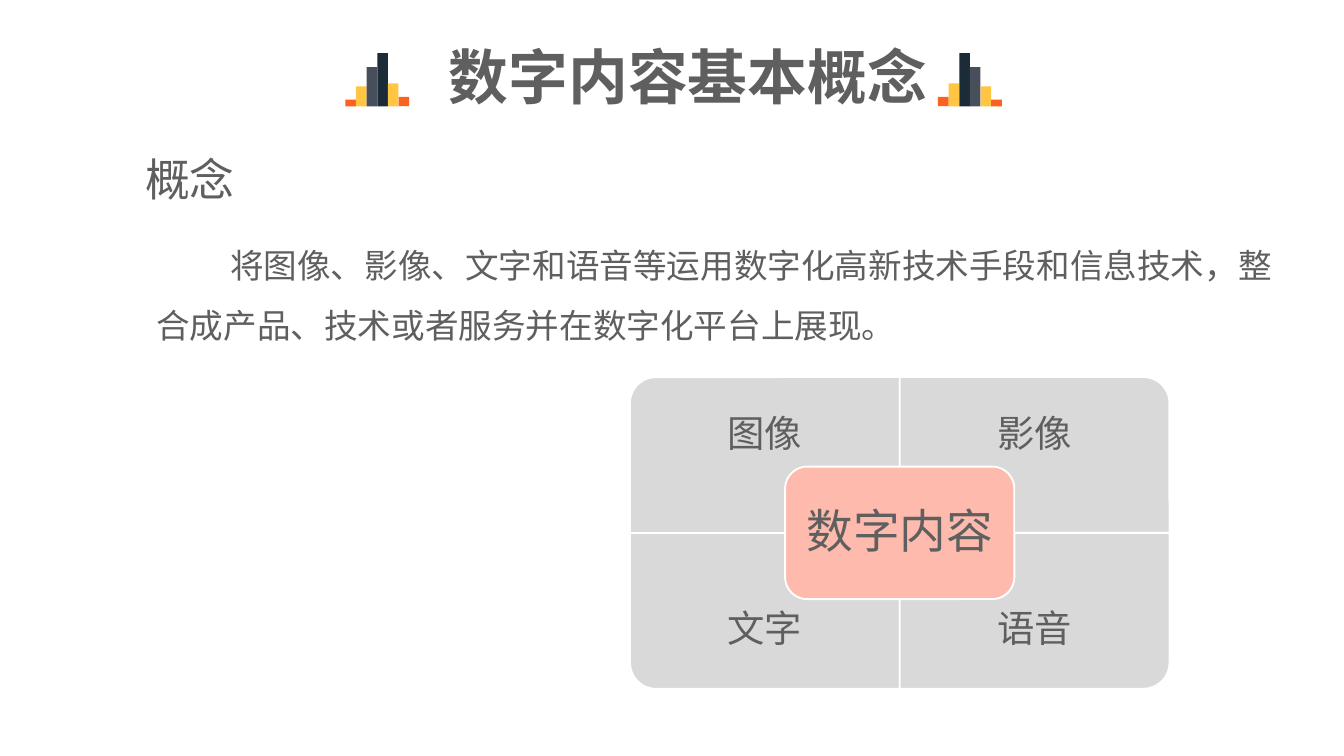
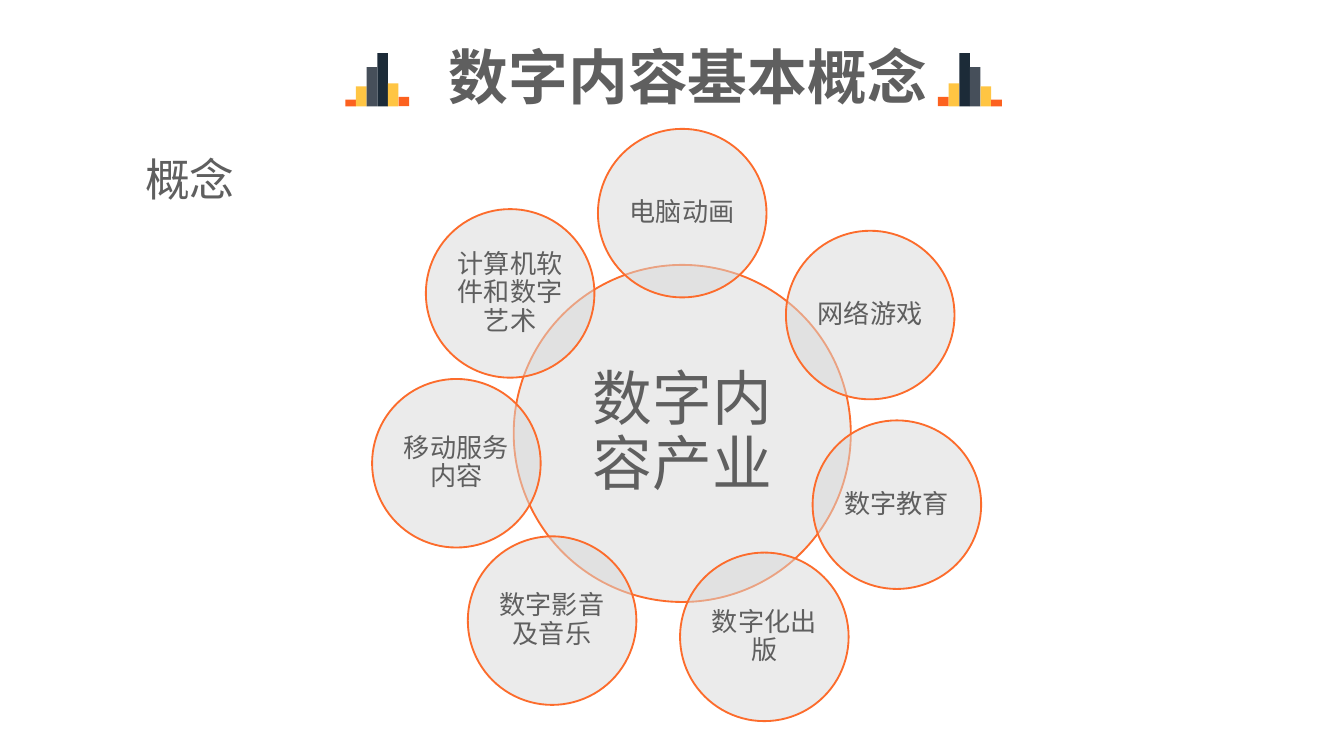
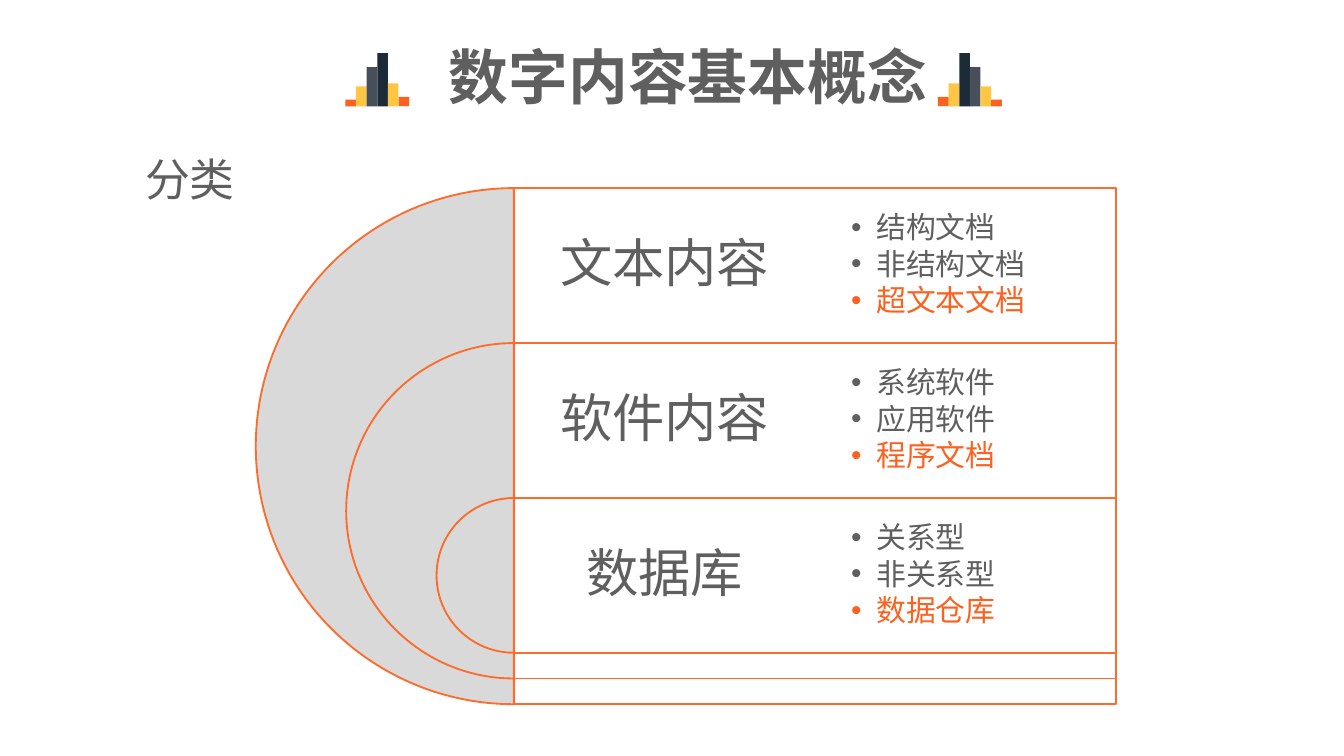
from lxml import etree
from pptx import Presentation
from pptx.dml.color import RGBColor
from pptx.enum.shapes import MSO_SHAPE
from pptx.enum.text import MSO_ANCHOR, MSO_AUTO_SIZE, PP_ALIGN
from pptx.oxml.ns import qn
from pptx.util import Pt

# Content
TITLE = "数字内容基本概念"
INTRO = ("将图像、影像、文字和语音等运用数字化高新技术手段和信息技术，"
         "整合成产品、技术或者服务并在数字化平台上展现。")
CORE = "数字内容"
PARTS = [("图像", 270), ("影像", 0), ("文字", 180), ("语音", 90)]
TRADE = "数字内容产业"
FIELDS = [  # text, offset of the circle from the hub
    ("电脑动画", 0, -118),
    ("网络游戏", 100.7, -63.4),
    ("数字教育", 115, 38.2),
    ("数字化出版", 44, 109),
    ("数字影音及音乐", -69.7, 100.3),
    ("移动服务内容", -121, 16),
    ("计算机软件和数字艺术", -92.2, -75),
]
KINDS = [
    ("文本内容", ["结构文档", "非结构文档", "超文本文档"]),
    ("软件内容", ["系统软件", "应用软件", "程序文档"]),
    ("数据库", ["关系型", "非关系型", "数据仓库"]),
]

# Shared look
GREY = RGBColor(0x5F, 0x5F, 0x5F)
PALE = RGBColor(0xD9, 0xD9, 0xD9)
PINK = RGBColor(0xFD, 0xBA, 0xAD)
WHITE = RGBColor(0xFF, 0xFF, 0xFF)
EDGE = RGBColor(0xFC, 0x6C, 0x2C)
ORANGE = RGBColor(0xFC, 0x61, 0x1F)
GOLD = RGBColor(0xFF, 0xC5, 0x43)
SLATE = RGBColor(0x46, 0x4F, 0x5A)
NAVY = RGBColor(0x1C, 0x2B, 0x38)
BARS = [(3.6, ORANGE), (10.7, GOLD), (21, SLATE),
        (28.5, NAVY), (12.3, GOLD), (5, ORANGE)]
CJK, LATIN = "Noto Sans CJK SC", "Arial"
LEFT, CENTER = PP_ALIGN.LEFT, PP_ALIGN.CENTER
TOP, MIDDLE = MSO_ANCHOR.TOP, MSO_ANCHOR.MIDDLE
FIXED = MSO_AUTO_SIZE.NONE
RECT, OVAL, PIE = MSO_SHAPE.RECTANGLE, MSO_SHAPE.OVAL, MSO_SHAPE.PIE
ROUND, CORNER = MSO_SHAPE.ROUNDED_RECTANGLE, MSO_SHAPE.ROUND_1_RECTANGLE
ONE, TWO, FOUR = 1, 3, 4  # layouts with one, two and four body placeholders


def place(item, x, y, w, h):
    item.left, item.top, item.width, item.height = Pt(x), Pt(y), Pt(w), Pt(h)


def write(item, lines, size, face=LATIN, align=CENTER, anchor=MIDDLE,
          pad=(3, 3), gap=0.9, after=0, bold=False,
          hang=(0, 0), mark=None, last=GREY):
    """Fill a text frame; the last of several lines may have its own colour."""
    frame = item.text_frame
    frame.auto_size, frame.word_wrap = FIXED, True
    frame.vertical_anchor = anchor
    frame.margin_left = frame.margin_right = Pt(pad[0])
    frame.margin_top = frame.margin_bottom = Pt(pad[1])
    frame.text = "\n".join(lines)
    for i, para in enumerate(frame.paragraphs):
        props = para._p.get_or_add_pPr()
        props.set("marL", str(Pt(hang[0])))
        props.set("indent", str(Pt(hang[1])))
        if mark:
            etree.SubElement(props, qn("a:buChar")).set("char", mark)
        else:
            etree.SubElement(props, qn("a:buNone"))
        para.alignment, para.line_spacing = align, gap
        para.space_before, para.space_after = Pt(0), Pt(after)
        font = para.font
        font.name, font.size, font.bold = face, Pt(size), bold
        font.color.rgb = last if i == len(lines) - 1 else GREY


def draw(slide, kind, x, y, w, h, fill, line=None, alpha=None):
    shape = slide.shapes.add_shape(kind, Pt(x), Pt(y), Pt(w), Pt(h))
    shape.shadow.inherit = False
    shape.fill.solid()
    shape.fill.fore_color.rgb = fill
    if alpha:
        tint = shape.fill._xPr.find(".//" + qn("a:srgbClr"))
        etree.SubElement(tint, qn("a:alpha")).set("val", str(alpha * 1000))
    if line:
        shape.line.color.rgb = line
        shape.line.width = Pt(1)
    else:
        shape.line.fill.background()
    return shape


def label(slide, text, size, x, y, w, h, pad):
    box = slide.shapes.add_textbox(Pt(x), Pt(y), Pt(w), Pt(h))
    write(box, [text], size, pad=(pad, pad))


def disc(slide, text, size, x, y, d):
    oval = draw(slide, OVAL, x - d / 2, y - d / 2, d, d, PALE, EDGE, 50)
    write(oval, [text], size, pad=(1.5, 1.5))


def begin(deck, layout, head):
    """Add a slide with title, bar icons and section head; return the rest."""
    slide = deck.slides.add_slide(deck.slide_layouts[layout])
    title, first, *rest = slide.placeholders
    place(title, 233.3, 17.3, 274.3, 58.3)
    write(title, [TITLE], 32, CJK, LEFT, pad=(7.2, 3.6), gap=0.6, bold=True)
    place(first, 70.5, 77.8, 72, 36)
    write(first, [head], 24, CJK, LEFT, TOP, (7.2, 3.6), 1)
    wide = 5.7
    for left, bars in ((185, BARS), (502.5, BARS[::-1])):
        for i, (tall, fill) in enumerate(bars):
            draw(slide, RECT, left + i * wide, 57 - tall, wide, tall, fill)
    return slide, rest


def concept(deck):
    slide, (body,) = begin(deck, TWO, "概念")
    place(body, 76.5, 116.6, 614, 69)
    write(body, [INTRO], 18, CJK, LEFT, TOP, (7.2, 3.6), 1.5, hang=(0, 39.6))

    # Four quarters around the core
    midx, midy, w, h = 482, 285.5, 144.5, 83.5
    for i, (text, turn) in enumerate(PARTS):
        row, col = divmod(i, 2)
        x, y = midx + (col - 1) * w, midy + (row - 1) * h
        sw, sh = (h, w) if turn % 180 else (w, h)
        part = draw(slide, CORNER, x + (w - sw) / 2, y + (h - sh) / 2,
                    sw, sh, PALE, WHITE)
        part.rotation = turn
        label(slide, text, 20, x, y + row * h / 4, w, h * 0.75, 11.5)
    cw, ch = w * 0.85, h * 0.85
    core = draw(slide, ROUND, midx - cw / 2, midy - ch / 2, cw, ch, PINK, WHITE)
    write(core, [CORE], 25, pad=(7, 7))


def industry(deck):
    slide, _ = begin(deck, ONE, "概念")
    midx, midy = 365.5, 232.2
    disc(slide, TRADE, 32, midx, midy, 180.6)
    for text, dx, dy in FIELDS:
        disc(slide, text, 14, midx + dx, midy + dy, 90.3)


def classes(deck):
    slide, lists = begin(deck, FOUR, "分类")
    x, y, row, wide = 275.3, 100.8, 83, 322.6
    half = wide / 2
    for i, ((kind, items), box) in enumerate(zip(KINDS, lists)):
        top, d = y + i * row, 276.5 - i * 96.8
        pie = draw(slide, PIE, x - d / 2, top, d, d, PALE, EDGE)
        pie.adjustments[0], pie.adjustments[1] = 54, 162
        draw(slide, RECT, x, top, wide, d, WHITE, EDGE, 90)
        label(slide, kind, 28, x, top, half, row, 8.5)
        # Bring the list in front of its band
        slide.shapes.element.append(box.element)
        place(box, x + half, top, half, row)
        write(box, items, 16, align=LEFT, pad=(19.4, 0), after=2.4,
              hang=(13.5, -13.5), mark="•", last=ORANGE)


def main():
    deck = Presentation()
    deck.slide_width, deck.slide_height = Pt(720), Pt(405)
    concept(deck)
    industry(deck)
    classes(deck)
    deck.save("out.pptx")


if __name__ == "__main__":
    main()
